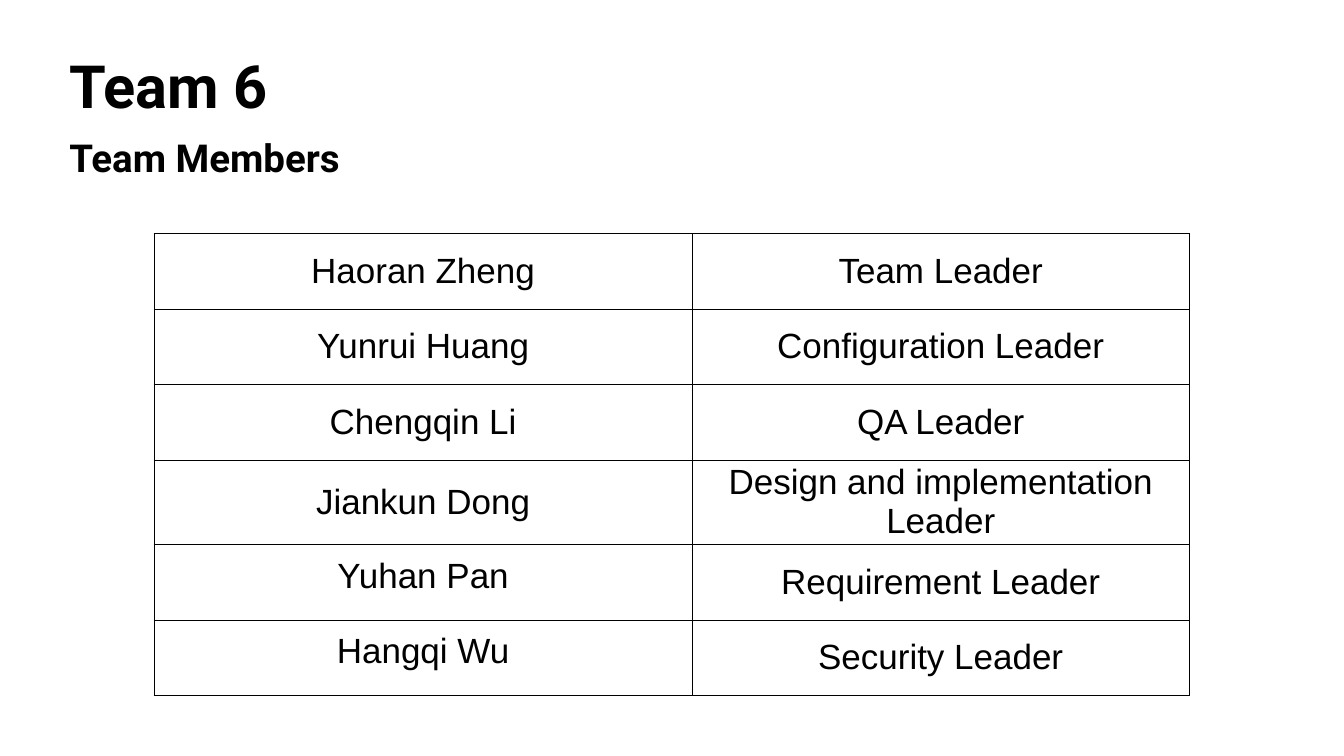
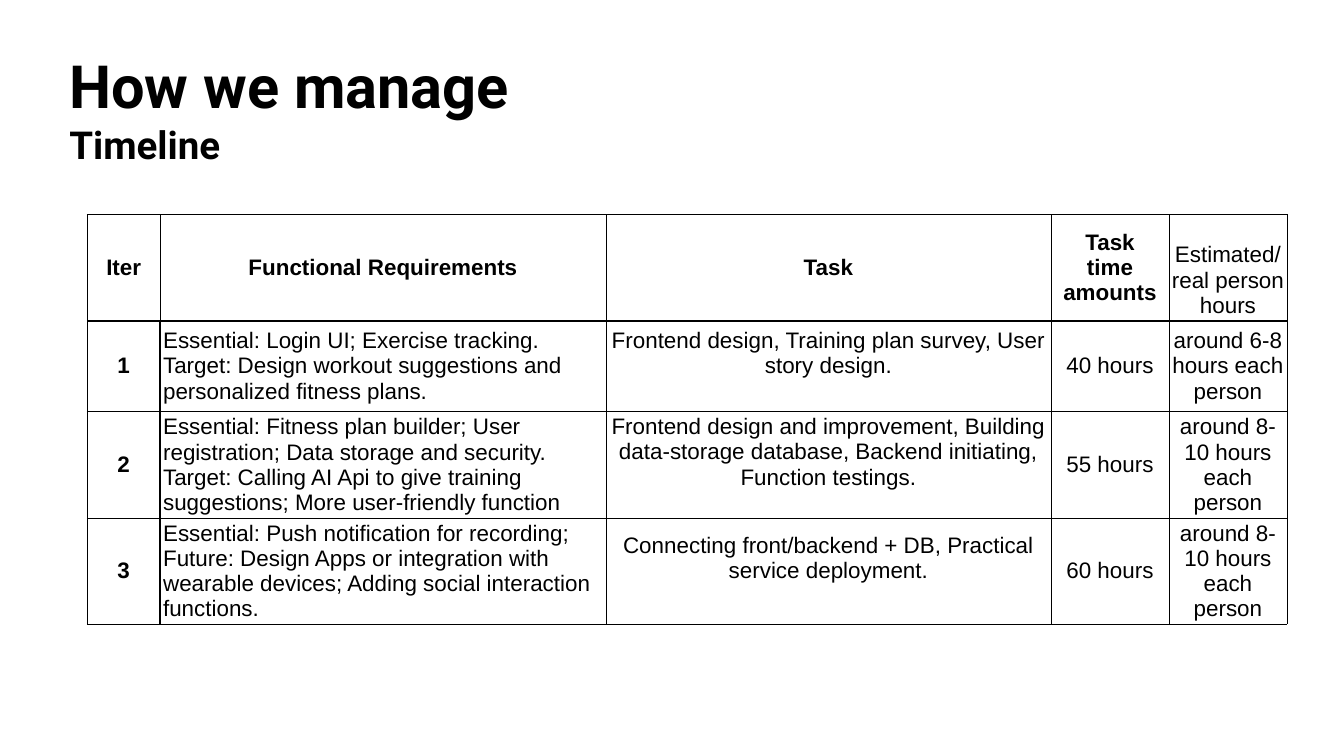
from dataclasses import dataclass

import lxml.etree
import pptx
import pptx.dml.color
import pptx.enum.text
import pptx.oxml.ns
import pptx.util

Pt = pptx.util.Pt
Align = pptx.enum.text.PP_ALIGN
Anchor = pptx.enum.text.MSO_ANCHOR


@dataclass(frozen=True)
class Theme:
    ink: str = "000000"
    heading_font: str = "Roboto"
    table_font: str = "Arial"
    title_size: float = 85
    subtitle_size: float = 55
    members_size: float = 50
    timeline_size: float = 32
    thin_line: float = 1
    thick_line: float = 3
    cell_margin: float = 4


THEME = Theme()
LINE_HEIGHT = 36
HEADING_LEFT, HEADING_WIDTH = 95, 1730


@dataclass(frozen=True)
class Cell:
    paragraphs: tuple[str, ...]
    bold: bool = False
    align: Align = Align.CENTER
    extra_top: float = 0
    extra_bottom: float = 0
    thick_side: str = ""


@dataclass(frozen=True)
class Grid:
    left: float
    top: float
    column_widths: tuple[float, ...]
    row_heights: tuple[float, ...]
    text_size: float
    rows: list[list[Cell]]


@dataclass(frozen=True)
class Page:
    title: str
    subtitle: str
    subtitle_top: float
    grid: Grid


def member_row(name: str, role: str, name_lift: float = 0) -> list[Cell]:
    return [Cell((name,), extra_bottom=name_lift), Cell((role,))]


def header_cell(*lines: str, extra_top: float = 0) -> Cell:
    return Cell(lines, bold=not extra_top, extra_top=extra_top, thick_side="B")


def iteration_row(number: str, requirements: tuple[str, ...], task: str,
                  hours: str, effort: str) -> list[Cell]:
    return [
        Cell((number,), bold=True, thick_side="R"),
        Cell(requirements, align=Align.LEFT),
        Cell((task,), extra_bottom=LINE_HEIGHT),
        Cell((hours,)),
        Cell((f"around {effort} hours each person",)),
    ]


MEMBERS = Grid(
    left=220, top=333.5,
    column_widths=(769, 710),
    row_heights=(108, 108, 108, 120, 108, 108),
    text_size=THEME.members_size,
    rows=[
        member_row("Haoran Zheng", "Team Leader"),
        member_row("Yunrui Huang", "Configuration Leader"),
        member_row("Chengqin Li", "QA Leader"),
        member_row("Jiankun Dong", "Design and implementation Leader"),
        member_row("Yuhan Pan", "Requirement Leader", name_lift=17),
        member_row("Hangqi Wu", "Security Leader", name_lift=17),
    ],
)

TIMELINE = Grid(
    left=124.5, top=306.5,
    column_widths=(104.5, 636.5, 636, 168.5, 168.5),
    row_heights=(151, 130, 151, 151),
    text_size=THEME.timeline_size,
    rows=[
        [
            header_cell("Iter"),
            header_cell("Functional Requirements"),
            header_cell("Task"),
            header_cell("Task", "time", "amounts"),
            header_cell("Estimated/real person hours", extra_top=LINE_HEIGHT),
        ],
        iteration_row(
            "1",
            ("Essential: Login UI; Exercise tracking.",
             "Target: Design workout suggestions and personalized fitness plans."),
            "Frontend design, Training plan survey, User story design.",
            "40 hours", "6-8"),
        iteration_row(
            "2",
            ("Essential: Fitness plan builder; User registration; "
             "Data storage and security.",
             "Target: Calling AI Api to give training suggestions; "
             "More user-friendly function"),
            "Frontend design and improvement, Building data-storage database, "
            "Backend initiating, Function testings.",
            "55 hours", "8-10"),
        iteration_row(
            "3",
            ("Essential: Push notification for recording;",
             "Future: Design Apps or integration with wearable devices; "
             "Adding social interaction functions."),
            "Connecting front/backend + DB, Practical service deployment.",
            "60 hours", "8-10"),
    ],
)

PAGES = [
    Page("Team 6", "Team Members", 187, MEMBERS),
    Page("How we manage", "Timeline", 169, TIMELINE),
]


def add_run(paragraph, text: str, font: str, size: float, bold: bool) -> None:
    run = paragraph.add_run()
    run.text = text
    run.font.name = font
    run.font.size = Pt(size)
    run.font.bold = bold
    run.font.color.rgb = pptx.dml.color.RGBColor.from_string(THEME.ink)


def set_heading(shape, text: str, size: float, anchor: Anchor, margin: float,
                line_spacing: float) -> None:
    frame = shape.text_frame
    frame.word_wrap = True
    frame.auto_size = pptx.enum.text.MSO_AUTO_SIZE.NONE
    frame.vertical_anchor = anchor
    frame.margin_left = frame.margin_right = Pt(margin)
    frame.margin_top = frame.margin_bottom = Pt(margin)
    paragraph = frame.paragraphs[0]
    paragraph.alignment = Align.LEFT
    paragraph.line_spacing = line_spacing
    add_run(paragraph, text, THEME.heading_font, size, True)


def set_borders(cell, thick_side: str) -> None:
    properties = cell._tc.get_or_add_tcPr()
    qualified = pptx.oxml.ns.qn
    for position, side in enumerate("LRTB"):
        width = THEME.thick_line if side == thick_side else THEME.thin_line
        line = lxml.etree.Element(qualified(f"a:ln{side}"), w=str(Pt(width)))
        fill = lxml.etree.SubElement(line, qualified("a:solidFill"))
        lxml.etree.SubElement(fill, qualified("a:srgbClr"), val=THEME.ink)
        properties.insert(position, line)


def fill_cell(cell, content: Cell, size: float) -> None:
    cell.fill.background()
    cell.vertical_anchor = Anchor.MIDDLE
    cell.margin_left = cell.margin_right = Pt(THEME.cell_margin)
    cell.margin_top = Pt(THEME.cell_margin + content.extra_top)
    cell.margin_bottom = Pt(THEME.cell_margin + content.extra_bottom)
    frame = cell.text_frame
    for index, text in enumerate(content.paragraphs):
        paragraph = frame.add_paragraph() if index else frame.paragraphs[0]
        paragraph.alignment = content.align
        add_run(paragraph, text, THEME.table_font, size, content.bold)
    set_borders(cell, content.thick_side)


def add_grid(slide, grid: Grid) -> None:
    table = slide.shapes.add_table(
        len(grid.row_heights), len(grid.column_widths),
        Pt(grid.left), Pt(grid.top),
        Pt(sum(grid.column_widths)), Pt(sum(grid.row_heights))).table
    table.first_row = False
    table.horz_banding = False
    for column, width in zip(table.columns, grid.column_widths):
        column.width = Pt(width)
    for row, height, contents in zip(table.rows, grid.row_heights, grid.rows):
        row.height = Pt(height)
        for cell, content in zip(row.cells, contents):
            fill_cell(cell, content, grid.text_size)


def add_page(presentation, page: Page) -> None:
    slide = presentation.slides.add_slide(presentation.slide_layouts[5])
    title = slide.shapes.title
    title.left, title.top = Pt(HEADING_LEFT), Pt(85)
    title.width, title.height = Pt(HEADING_WIDTH), Pt(113)
    set_heading(title, page.title, THEME.title_size, Anchor.TOP, 4, 0.8)
    subtitle = slide.shapes.add_textbox(
        Pt(HEADING_LEFT), Pt(page.subtitle_top), Pt(HEADING_WIDTH), Pt(73.5))
    set_heading(subtitle, page.subtitle, THEME.subtitle_size, Anchor.MIDDLE, 4, 1)
    add_grid(slide, page.grid)


def main() -> None:
    presentation = pptx.Presentation()
    presentation.slide_width = Pt(1920)
    presentation.slide_height = Pt(1080)
    for page in PAGES:
        add_page(presentation, page)
    presentation.save("out.pptx")


if __name__ == "__main__":
    main()
